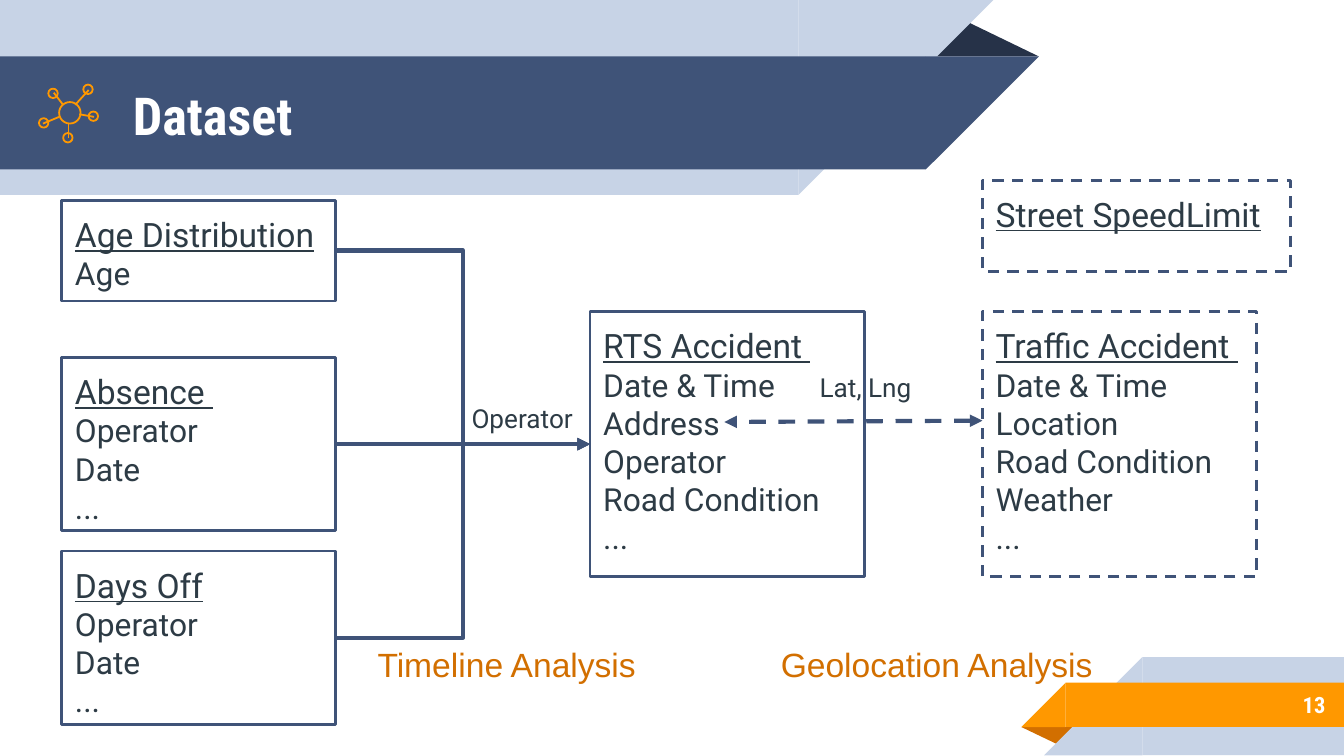
from lxml import etree
from pptx import Presentation
from pptx import util as u
from pptx.dml.color import RGBColor
from pptx.enum import dml, shapes, text
from pptx.oxml import ns

PX = 9144
NAVY = RGBColor(0x3F, 0x53, 0x78)
DARK = RGBColor(0x26, 0x32, 0x48)
PALE = RGBColor(0xC7, 0xD3, 0xE6)
ORANGE = RGBColor(0xFF, 0x98, 0x00)
RUST = RGBColor(0xD2, 0x6F, 0x00)
INK = RGBColor(0x2D, 0x3B, 0x45)
WHITE = RGBColor(0xFF, 0xFF, 0xFF)
KIND = shapes.MSO_SHAPE


def px(*lengths):
    """Turn px lengths into EMU."""
    return [u.Emu(length * PX) for length in lengths]


def add_solid(slide, kind, box, color, rotation=0, mirrored=False):
    """Add a filled shape without outline."""
    shape = slide.shapes.add_shape(kind, *px(*box))
    shape.shadow.inherit = False
    shape.fill.solid()
    shape.fill.fore_color.rgb = color
    shape.line.fill.background()
    shape.rotation = rotation
    if mirrored:
        shape._element.spPr.find(ns.qn("a:xfrm")).set("flipH", "1")
    return shape


def add_outline(slide, kind, box, color, width, dashed=False):
    """Add an unfilled shape with an outline."""
    shape = slide.shapes.add_shape(kind, *px(*box))
    shape.shadow.inherit = False
    shape.fill.background()
    style_line(shape.line, color, width, dashed)
    return shape


def style_line(line, color, width, dashed=False):
    """Set the colour, width and dash of a line."""
    line.color.rgb = color
    line.width = u.Pt(width)
    if dashed:
        line.dash_style = dml.MSO_LINE.DASH


def add_line(slide, kind, points, color, width, dashed=False, arrows=()):
    """Add a connector with the given arrow ends."""
    connector = slide.shapes.add_connector(kind, *px(*points))
    style_line(connector.line, color, width, dashed)
    for end in arrows:
        etree.SubElement(connector.line._get_or_add_ln(), ns.qn(end), type="triangle")
    etree.SubElement(connector._element.spPr, ns.qn("a:effectLst"))
    return connector


def prepare_frame(shape, anchor=text.MSO_ANCHOR.TOP):
    """Set the insets, wrapping and anchor of a shape's text."""
    frame = shape.text_frame
    frame.word_wrap = True
    frame.vertical_anchor = anchor
    frame.margin_left, frame.margin_top, frame.margin_right, frame.margin_bottom = px(10, 10, 10, 10)
    return frame


def add_run(paragraph, words, size, color, font="Roboto", bold=False, underline=False):
    """Add one formatted run to a paragraph."""
    run = paragraph.add_run()
    run.text = words
    run.font.size = u.Pt(size)
    run.font.name = font
    run.font.color.rgb = color
    run.font.bold = bold
    run.font.underline = underline


def add_label(slide, box, words, size, color, font="Roboto", bold=False,
              align=text.PP_ALIGN.LEFT, anchor=text.MSO_ANCHOR.TOP):
    """Add a text box holding one line."""
    frame = prepare_frame(slide.shapes.add_textbox(*px(*box)), anchor)
    frame.paragraphs[0].alignment = align
    add_run(frame.paragraphs[0], words, size, color, font, bold)


def add_slanted_band(slide, box, color, upper):
    """Add a band whose slanted end is as wide as the band is high."""
    left, top, width, height = box
    if upper:
        bar, tip, rotation = left, left + width - height, 180
    else:
        bar, tip, rotation = left + height, left, 0
    add_solid(slide, KIND.RECTANGLE, (bar, top, width - height, height), color)
    add_solid(slide, KIND.RIGHT_TRIANGLE, (tip, top, height, height), color, rotation, True)


def add_header(slide, left, top, title):
    """Place the title banner with its fold and icon."""
    fold = add_solid(slide, KIND.ISOSCELES_TRIANGLE, (left + 688, top + 14, 85, 28), DARK)
    fold.adjustments[0] = 0.32
    add_slanted_band(slide, (left, top, 739, 145), PALE, True)
    add_slanted_band(slide, (left, top + 42, 773, 84), NAVY, True)
    add_label(slide, (left + 89, top + 43, 575, 84), title, 28, WHITE,
              "Roboto Condensed", True, anchor=text.MSO_ANCHOR.MIDDLE)
    add_network_icon(slide, left + 29, top + 63)


def add_network_icon(slide, left, top):
    """Place a hub joined to five nodes."""
    circles = [(33, 0, 7), (7, 3, 7), (0, 25, 7), (18, 36, 7), (37, 20, 7), (15, 13, 16)]
    spokes = [(11, 6, 18, 15), (27, 15, 37, 4), (41, 24, 30, 22), (22, 40, 22, 29), (3, 29, 15, 24)]
    for x, y, size in circles:
        add_outline(slide, KIND.OVAL, (left + x, top + y, size, size), ORANGE, 0.96)
    for x1, y1, x2, y2 in spokes:
        add_line(slide, shapes.MSO_CONNECTOR.STRAIGHT,
                 (left + x1, top + y1, left + x2, top + y2), ORANGE, 0.96)


def add_footer(slide, left, top, number):
    """Place the corner ribbon with the page number."""
    fold = add_solid(slide, KIND.ISOSCELES_TRIANGLE, (left, top + 52, 43, 14), RUST, 180)
    fold.adjustments[0] = 0.32
    add_slanted_band(slide, (left + 17, top, 223, 73), PALE, False)
    add_slanted_band(slide, (left, top + 19, 240, 33), ORANGE, False)
    add_label(slide, (left + 73, top + 18, 163, 35), number, 12, WHITE, "Roboto Condensed",
              True, text.PP_ALIGN.RIGHT, text.MSO_ANCHOR.MIDDLE)


def add_entity(slide, box, name, fields=(), dashed=False):
    """Place a data table box with its underlined name and fields."""
    shape = add_outline(slide, KIND.RECTANGLE, box, NAVY, 1.5, dashed)
    frame = prepare_frame(shape)
    frame.paragraphs[0].alignment = text.PP_ALIGN.LEFT
    add_run(frame.paragraphs[0], name, 18, INK, underline=True)
    for field in fields:
        paragraph = frame.add_paragraph()
        paragraph.alignment = text.PP_ALIGN.LEFT
        add_run(paragraph, field, 17, INK)
    return shape


def add_timeline(slide, left, top):
    """Place the operator tables and join them to the accident table."""
    accident = add_entity(slide, (left + 393, top + 83, 204, 197), "RTS Accident ",
                          ["Date & Time", "Address", "Operator", "Road Condition", "..."])
    shift_fields = ["Operator", "Date", "..."]
    sources = [(0, 75, "Age Distribution", ["Age"]),
               (117, 129, "Absence ", shift_fields),
               (261, 129, "Days Off", shift_fields)]
    for offset, height, name, fields in sources:
        source = add_entity(slide, (left, top + offset, 204, height), name, fields)
        connector = add_line(slide, shapes.MSO_CONNECTOR.ELBOW, (0, 0, 0, 0), NAVY, 2.25,
                             arrows=["a:tailEnd"])
        connector.begin_connect(source, 3)
        connector.end_connect(accident, 1)
    add_label(slide, (left + 295, top + 140, 149, 48), "Operator", 14, INK)
    add_label(slide, (left + 167, top + 320, 328, 328), "Timeline Analysis", 18, RUST, "Arial",
              align=text.PP_ALIGN.CENTER)


def add_geolocation(slide, left, top):
    """Place the street tables and the link by coordinates."""
    add_entity(slide, (left + 198, top + 98, 204, 197), "Traffic Accident ",
               ["Date & Time", "Location", "Road Condition", "Weather", "..."], True)
    add_line(slide, shapes.MSO_CONNECTOR.STRAIGHT, (left + 198, top + 179, left + 6, top + 180),
             NAVY, 2.25, True, ["a:headEnd", "a:tailEnd"])
    add_label(slide, (left + 67, top + 132, 149, 48), "Lat, Lng", 14, INK)
    add_label(slide, (left, top + 335, 328, 328), "Geolocation Analysis", 18, RUST, "Arial",
              align=text.PP_ALIGN.CENTER)
    add_entity(slide, (left + 198, top, 229, 68), "Street SpeedLimit", dashed=True)


def main():
    """Build and save the dataset slide."""
    presentation = Presentation()
    presentation.slide_width = u.Inches(10)
    presentation.slide_height = presentation.slide_width * 9 // 16
    slide = presentation.slides.add_slide(presentation.slide_layouts[6])
    add_header(slide, 0, 0, "Dataset")
    add_footer(slide, 760, 489, "13")
    add_timeline(slide, 46, 149)
    add_geolocation(slide, 533, 134)
    presentation.save("out.pptx")


if __name__ == "__main__":
    main()
